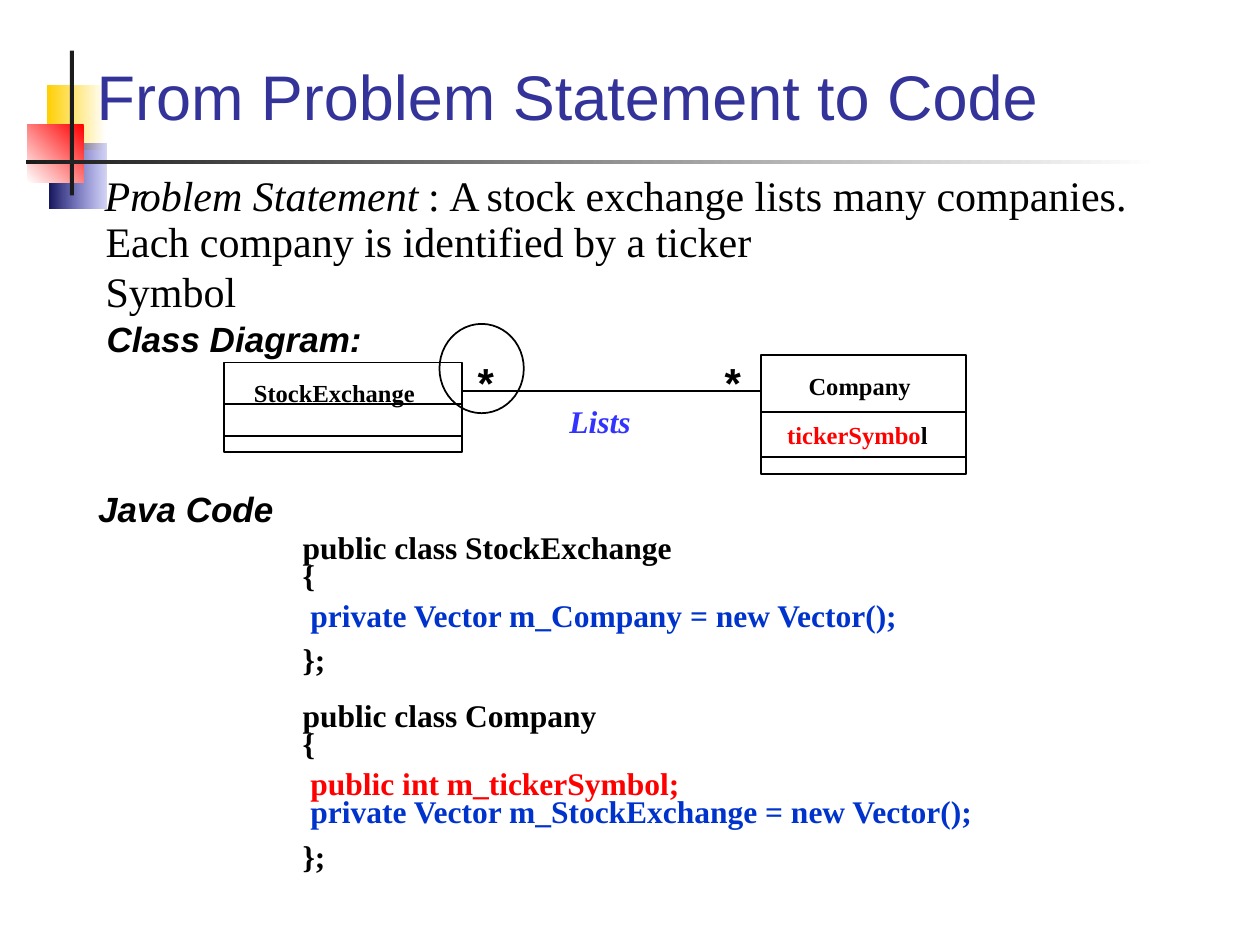
from lxml import etree
from pptx import Presentation
from pptx.dml.color import RGBColor
from pptx.enum.shapes import MSO_CONNECTOR, MSO_SHAPE
from pptx.enum.text import MSO_ANCHOR
from pptx.oxml.ns import qn
from pptx.util import Cm, Pt

RECT, OVAL = MSO_SHAPE.RECTANGLE, MSO_SHAPE.OVAL
STRAIGHT, MIDDLE = MSO_CONNECTOR.STRAIGHT, MSO_ANCHOR.MIDDLE
SERIF, SANS = "Times New Roman", "Arial"
HEX = {
    "black": "000000", "white": "FFFFFF", "dark": "1C1C1C", "title": "333399",
    "yellow": "FFCF01", "violet": "3333CC", "navy": "17175E", "red": "FF0000",
    "blue": "0033CC", "lists": "3333FF",
}
C = {name: RGBColor.from_string(value) for name, value in HEX.items()}

prs = Presentation()
prs.slide_width, prs.slide_height = Cm(25.4), Cm(19.05)
s = prs.slides.add_slide(prs.slide_layouts[6])


def add_shape(kind, x, y, w, h):
    sp = s.shapes.add_shape(kind, Cm(x), Cm(y), Cm(w), Cm(h))
    sp.shadow.inherit = False
    return sp


def add_text(x, y, w, h, paragraphs, size, font=SERIF, bold=False, italic=False):
    tf = s.shapes.add_textbox(Cm(x), Cm(y), Cm(w), Cm(h)).text_frame
    tf.word_wrap = True
    for i, runs in enumerate(paragraphs):
        p = tf.add_paragraph() if i else tf.paragraphs[0]
        for text, color in runs:
            r = p.add_run()
            r.text = text
            r.font.name, r.font.size = font, Pt(size)
            r.font.bold, r.font.italic = bold, italic
            r.font.color.rgb = C[color]
    return tf


decor = [
    (0.94, 1.71, 1.19, 1.32, "white", "yellow", 180),
    (0.99, 2.89, 1.16, 1.32, "violet", "navy", 180),
    (0.55, 2.51, 1.14, 1.17, "red", "white", 225),
    (1.41, 1.02, 0.08, 2.92, "dark", "dark", 180),
    (0.53, 3.23, 22.86, 0.08, "white", "dark", 180),
]
for x, y, w, h, first, last, angle in decor:
    sp = add_shape(RECT, x, y, w, h)
    sp.line.fill.background()
    if first == last:
        sp.fill.solid()
        sp.fill.fore_color.rgb = C[first]
        continue
    sp.fill.gradient()
    sp.fill.gradient_angle = angle
    for stop, color in zip(sp.fill.gradient_stops, (first, last)):
        stop.color.rgb = C[color]
    if first == "violet":
        clr = next(sp.element.spPr.iter(qn("a:srgbClr")))
        etree.SubElement(clr, qn("a:alpha"), val="20000")

title = [[("From Problem Statement to Code", "title")]]
tf = add_text(1.7, 0.71, 22, 2.41, title, 36, SANS)
tf.vertical_anchor = MIDDLE

code = [
    (10.52, 8.4, "public class StockExchange", "black"),
    (11.09, 1.2, "{", "black"),
    (11.89, 13.1, " private Vector m_Company = new Vector();", "blue"),
    (12.78, 1.4, "};", "black"),
    (13.91, 6.9, "public class Company", "black"),
    (14.48, 1.2, "{", "black"),
    (15.28, 8.6, " public int m_tickerSymbol;", "red"),
    (15.85, 14.6, " private Vector m_StockExchange = new Vector();", "blue"),
    (16.74, 1.4, "};", "black"),
]
for y, w, text, color in code:
    add_text(5.85, y, w, 1.02, [[(text, color)]], 18, bold=True)

statement = [
    (1.86, 1.7, "Pr", True),
    (2.57, 6.5, "oblem Statement", True),
    (8.38, 1.2, ":", False),
    (8.81, 1.4, "A", False),
    (9.56, 14, "stock exchange lists many companies.", False),
]
for x, w, text, italic in statement:
    add_text(x, 3.3, w, 1.27, [[(text, "black")]], 24, italic=italic)

details = [[("Each company is identified by a ticker", "black")], [("Symbol", "black")]]
add_text(1.88, 4.22, 16.33, 2.3, details, 24)

for x, y, w, text in [(1.9, 6.27, 6.2, "Class Diagram:"), (1.73, 9.7, 4.6, "Java Code")]:
    add_text(x, y, w, 1.09, [[(text, "black")]], 20, SANS, True, True)

outlines = [
    (RECT, 4.52, 7.31, 4.8, 1.8),
    (RECT, 15.34, 7.16, 4.13, 2.39),
    (OVAL, 8.86, 6.53, 1.7, 1.8),
]
for kind, x, y, w, h in outlines:
    sp = add_shape(kind, x, y, w, h)
    sp.fill.background()
    sp.line.color.rgb = C["black"]
    sp.line.width = Pt(1)

labels = [
    (4.87, 7.49, 4.2, [("StockExchange", "black")]),
    (16.05, 7.35, 3, [("Company", "black")]),
    (15.62, 8.34, 3.8, [("tickerSymbo", "red"), ("l", "black")]),
]
for x, y, w, runs in labels:
    add_text(x, y, w, 0.84, [runs], 14, bold=True)
add_text(11.23, 7.97, 2.3, 1.02, [[("Lists", "lists")]], 18, bold=True, italic=True)

lines = [
    (4.52, 9.32, 8.15), (4.52, 9.32, 8.79),
    (15.34, 19.47, 8.31), (15.34, 19.47, 9.21),
    (9.32, 15.34, 7.88),
]
for x1, x2, y in lines:
    cn = s.shapes.add_connector(STRAIGHT, Cm(x1), Cm(y), Cm(x2), Cm(y))
    cn.line.color.rgb = C["black"]
    cn.line.width = Pt(1)
    etree.SubElement(cn._element.spPr, qn("a:effectLst"))

for x in (14.36, 9.38):
    add_text(x, 7.06, 1.2, 1.27, [[("*", "black")]], 24, SANS, True)

prs.save("out.pptx")
